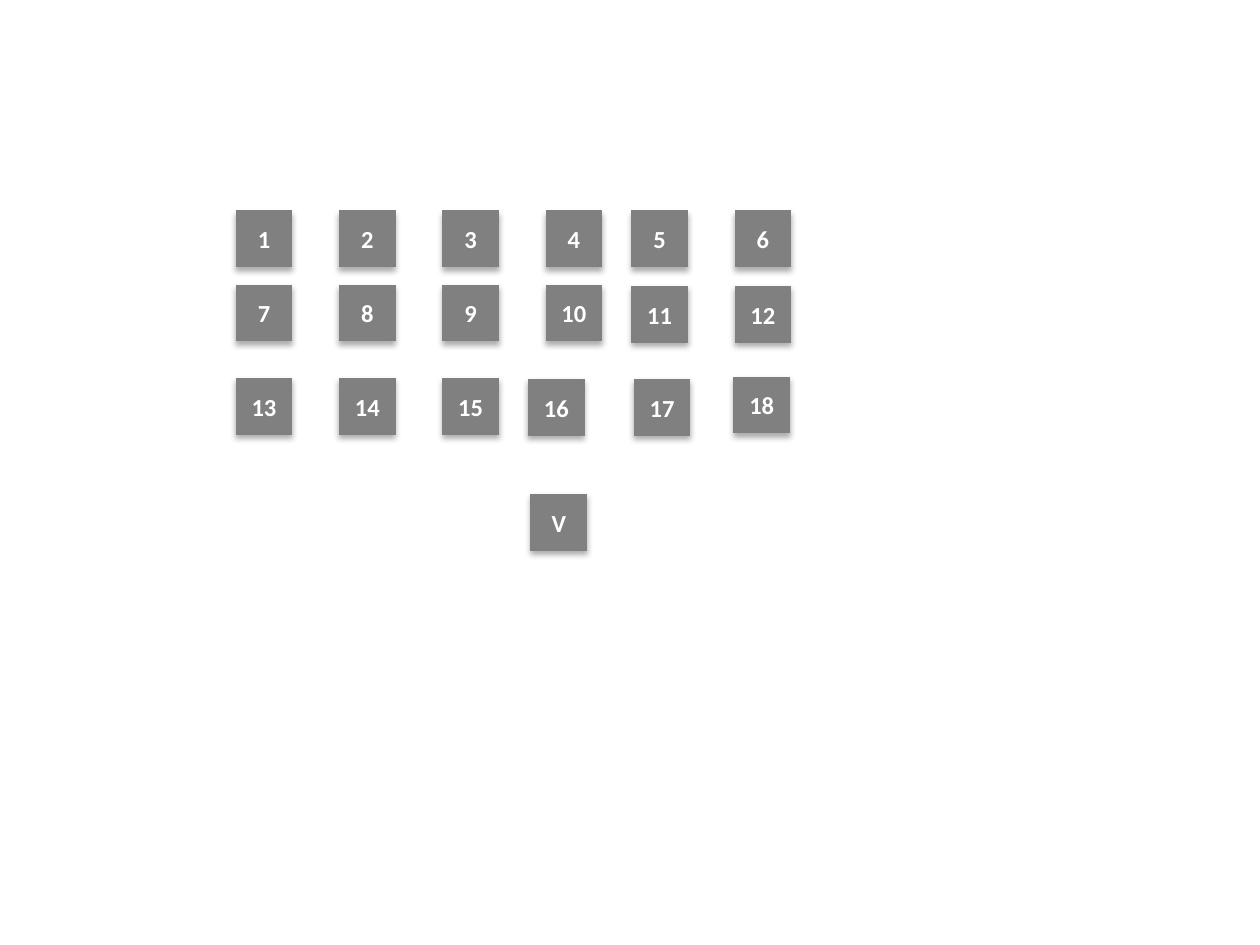
import lxml.etree
import pptx
import pptx.dml.color
import pptx.enum.shapes
import pptx.enum.text
import pptx.oxml.ns
import pptx.util

Inches = pptx.util.Inches
COLORS = {"button": "808080", "label": "FFFFFF", "shadow": "000000"}


class ButtonSlide:
    font = "Calibri"
    text_size = 14
    side = 0.45

    def __init__(self, slide):
        self.slide = slide

    def color(self, name):
        return pptx.dml.color.RGBColor.from_string(COLORS[name])

    def shadow(self, shape):
        shape.shadow.inherit = False
        name = pptx.oxml.ns.qn
        effects = shape._element.spPr.find(name("a:effectLst"))
        outer = lxml.etree.SubElement(
            effects, name("a:outerShdw"),
            blurRad=str(pptx.util.Pt(3.5)), dist=str(pptx.util.Pt(2.2)),
            dir="5400000", rotWithShape="0")
        tint = lxml.etree.SubElement(outer, name("a:srgbClr"), val=COLORS["shadow"])
        lxml.etree.SubElement(tint, name("a:alpha"), val="32000")

    def button(self, label, left, top):
        shape = self.slide.shapes.add_shape(
            pptx.enum.shapes.MSO_SHAPE.ACTION_BUTTON_CUSTOM,
            Inches(left), Inches(top), Inches(self.side), Inches(self.side))
        shape.fill.solid()
        shape.fill.fore_color.rgb = self.color("button")
        shape.line.fill.background()
        self.shadow(shape)
        frame = shape.text_frame
        frame.margin_left = frame.margin_right = 0
        frame.vertical_anchor = pptx.enum.text.MSO_ANCHOR.MIDDLE
        para = frame.paragraphs[0]
        para.alignment = pptx.enum.text.PP_ALIGN.CENTER
        span = para.add_run()
        span.text = label
        span.font.name = self.font
        span.font.size = pptx.util.Pt(self.text_size)
        span.font.bold = True
        span.font.color.rgb = self.color("label")


deck = pptx.Presentation()
deck.slide_width = Inches(10)
deck.slide_height = Inches(7.5)
page = ButtonSlide(deck.slides.add_slide(deck.slide_layouts[6]))

pitch = 0.82
left_block = [1.87 + pitch * column for column in range(4)]
right_block = [5.01 + pitch * column for column in range(2)]
rows = [
    (left_block + right_block, [1.67] * 6),
    (left_block + right_block, [2.26] * 4 + [2.27] * 2),
    (left_block[:3] + [4.19, 5.03, 5.82], [3] * 3 + [3.01, 3.01, 2.99]),
]
places = [place for lefts, tops in rows for place in zip(lefts, tops)]
for number, (left, top) in enumerate(places, 1):
    page.button(str(number), left, top)
page.button("V", 4.21, 3.92)

deck.save("out.pptx")
